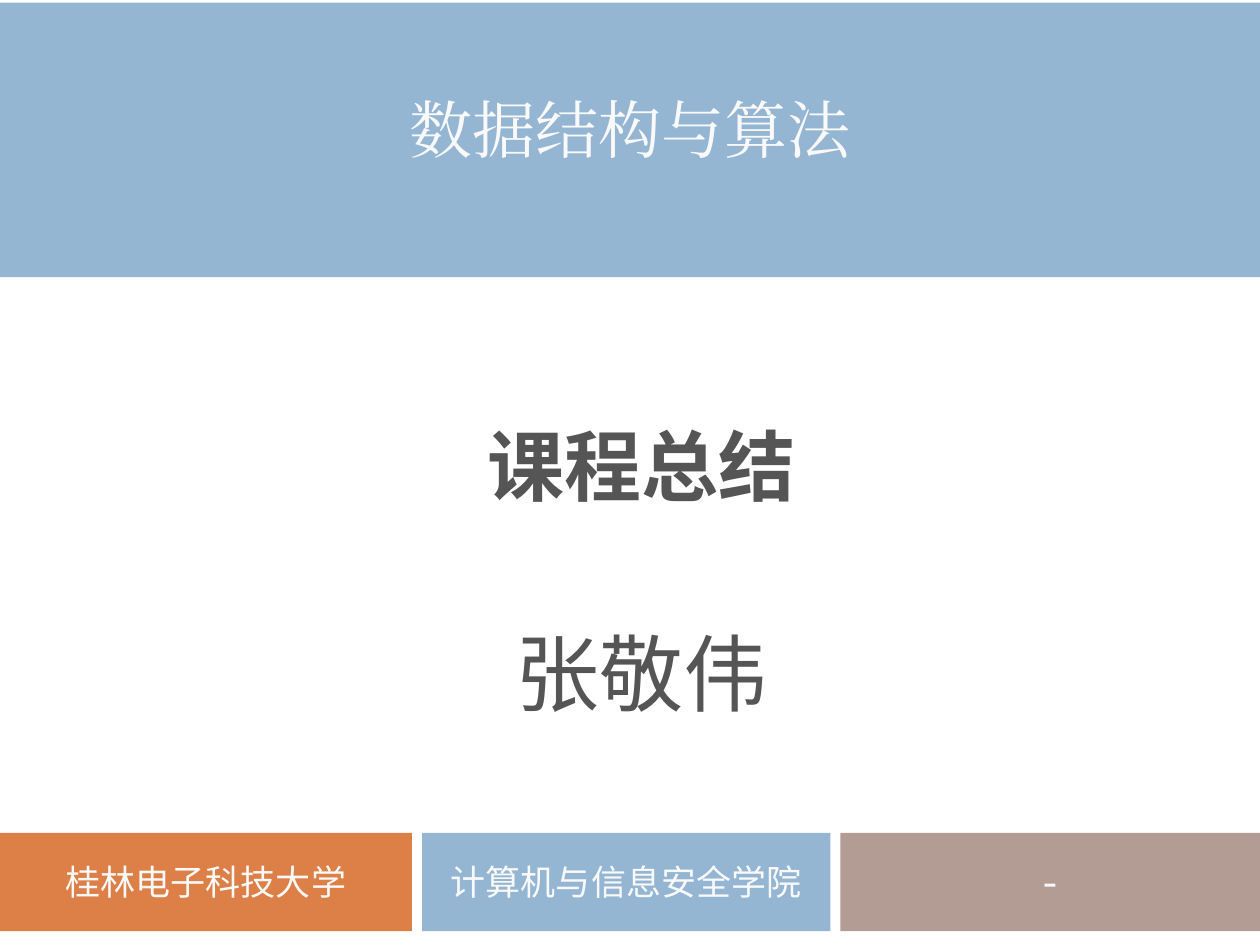
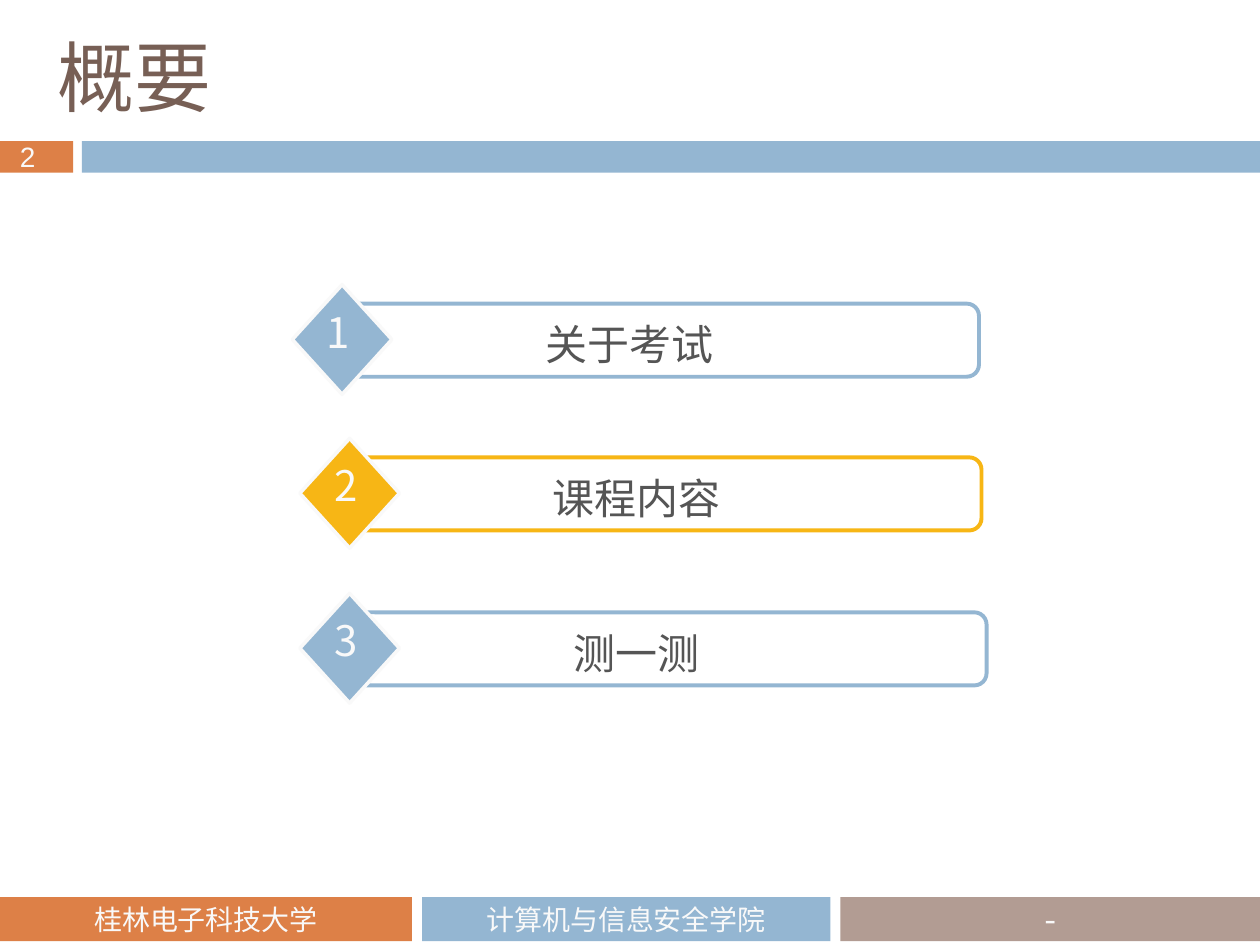
import pptx
import pptx.util
from lxml import etree
from pptx.dml.color import RGBColor
from pptx.enum.shapes import MSO_SHAPE
from pptx.enum.text import MSO_ANCHOR, MSO_AUTO_SIZE, PP_ALIGN
from pptx.oxml.ns import qn
from pptx.util import Inches

ORANGE, BLUE, MAUVE, YELLOW = "DD8047", "94B6D2", "B29C93", "F7B615"
LIGHT, GREY, BROWN = "F9F9F9", "555555", "775F55"
SANS_SC, SANS_JP = "Noto Sans CJK SC", "Noto Sans CJK JP"


def write(shape, text, size, font, colour, align=PP_ALIGN.CENTER,
          anchor=MSO_ANCHOR.MIDDLE, bold=False):
    """Fill a shape with one paragraph, using the font for East Asian text too."""
    frame = shape.text_frame
    frame.text = text
    frame.auto_size = MSO_AUTO_SIZE.NONE
    frame.word_wrap = True
    frame.vertical_anchor = anchor
    para = frame.paragraphs[0]
    para.alignment = align
    para.space_before = pptx.util.Pt(0)
    para.font.size = pptx.util.Pt(size)
    para.font.bold = bold
    para.font.color.rgb = RGBColor.from_string(colour)
    para.font.name = font
    latin = para._p.pPr.find(qn("a:defRPr")).find(qn("a:latin"))
    east_asian = etree.Element(qn("a:ea"), typeface=font)
    latin.addnext(east_asian)
    return para


def add_block(shapes, kind, box, fill=None, line=None, line_width=0):
    block = shapes.add_shape(kind, *map(Inches, box))
    block.shadow.inherit = False
    if fill:
        block.fill.solid()
        block.fill.fore_color.rgb = RGBColor.from_string(fill)
    else:
        block.fill.background()
    if line:
        block.line.color.rgb = RGBColor.from_string(line)
        block.line.width = pptx.util.Pt(line_width)
    else:
        block.line.fill.background()
    return block


deck = pptx.Presentation()
deck.slide_width, deck.slide_height = Inches(10), Inches(7.5)
cover = deck.slides.add_slide(deck.slide_layouts[0])
outline = deck.slides.add_slide(deck.slide_layouts[5])

# Footer bands
footer_parts = [
    (0, 3.27, ORANGE, "桂林电子科技大学"),
    (3.35, 3.24, BLUE, "计算机与信息安全学院"),
    (6.67, 3.33, MAUVE, "-"),
]
for page, top, height, size in [(cover, 6.61, 0.78, 20), (outline, 7.12, 0.35, 16)]:
    for left, width, colour, text in footer_parts:
        band = add_block(page.shapes, MSO_SHAPE.RECTANGLE,
                         (left, top, width, height), colour)
        write(band, text, size, "Cabin", LIGHT)

# Cover
course = cover.placeholders[1]
course.left, course.top, course.width, course.height = map(Inches, (0, 0.02, 10, 2.18))
course.fill.solid()
course.fill.fore_color.rgb = RGBColor.from_string(BLUE)
course_para = write(course, "数据结构与算法", 36, "Times New Roman", LIGHT)
course_para.line_spacing = pptx.util.Pt(30)

title = cover.shapes.title
title.left, title.top, title.width, title.height = map(Inches, (0.71, 3, 8.77, 1.38))
write(title, "课程总结", 44, SANS_SC, GREY, bold=True)

lecturer = cover.shapes.add_textbox(*map(Inches, (3.11, 4.88, 3.96, 0.91)))
write(lecturer, "张敬伟", 48, SANS_JP, GREY, anchor=MSO_ANCHOR.TOP)

# Outline
title = outline.shapes.title
title.left, title.top, title.width, title.height = map(Inches, (0.36, 0.27, 5.67, 0.66))
write(title, "概要", 44, SANS_JP, BROWN, PP_ALIGN.LEFT)

for left, width, colour in [(0, 0.58, ORANGE), (0.65, 9.35, BLUE)]:
    add_block(outline.shapes, MSO_SHAPE.RECTANGLE, (left, 1.12, width, 0.25), colour)
page_number = outline.shapes.add_textbox(*map(Inches, (0.06, 1.06, 0.48, 0.37)))
write(page_number, "2", 16, "Arial", LIGHT, PP_ALIGN.LEFT, MSO_ANCHOR.TOP)

topics = [
    (2.32, 2.26, 5.01, BLUE, "关于考试"),
    (2.38, 3.48, 4.97, YELLOW, "课程内容"),
    (2.38, 4.71, 5.01, BLUE, "测一测"),
]
for number, (left, top, width, colour, topic) in enumerate(topics, 1):
    row = outline.shapes.add_group_shape().shapes
    add_block(row, MSO_SHAPE.ROUNDED_RECTANGLE, (left + 0.44, top + 0.15, width, 0.58),
              line=colour, line_width=2.25)
    add_block(row, MSO_SHAPE.DIAMOND, (left, top, 0.79, 0.87), colour, LIGHT, 2)
    label = row.add_textbox(*map(Inches, (left + 0.7, top + 0.22, 3.95, 0.5)))
    write(label, topic, 24, SANS_SC, GREY, anchor=MSO_ANCHOR.TOP)
    digit = row.add_textbox(*map(Inches, (left + 0.18, top + 0.12, 0.37, 0.5)))
    write(digit, str(number), 24, SANS_SC, LIGHT, anchor=MSO_ANCHOR.TOP)
    digit.text_frame.word_wrap = False

deck.save("out.pptx")
